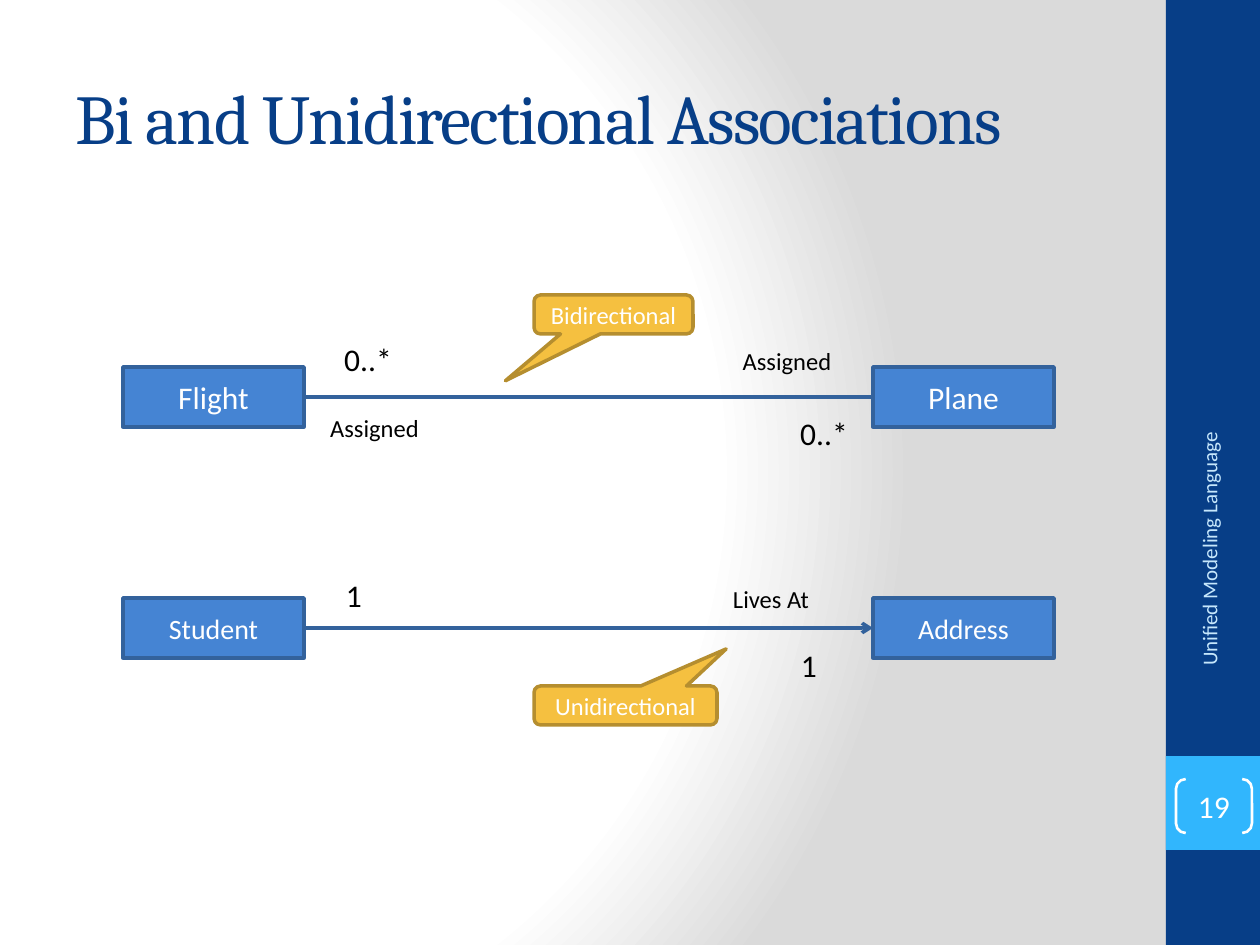
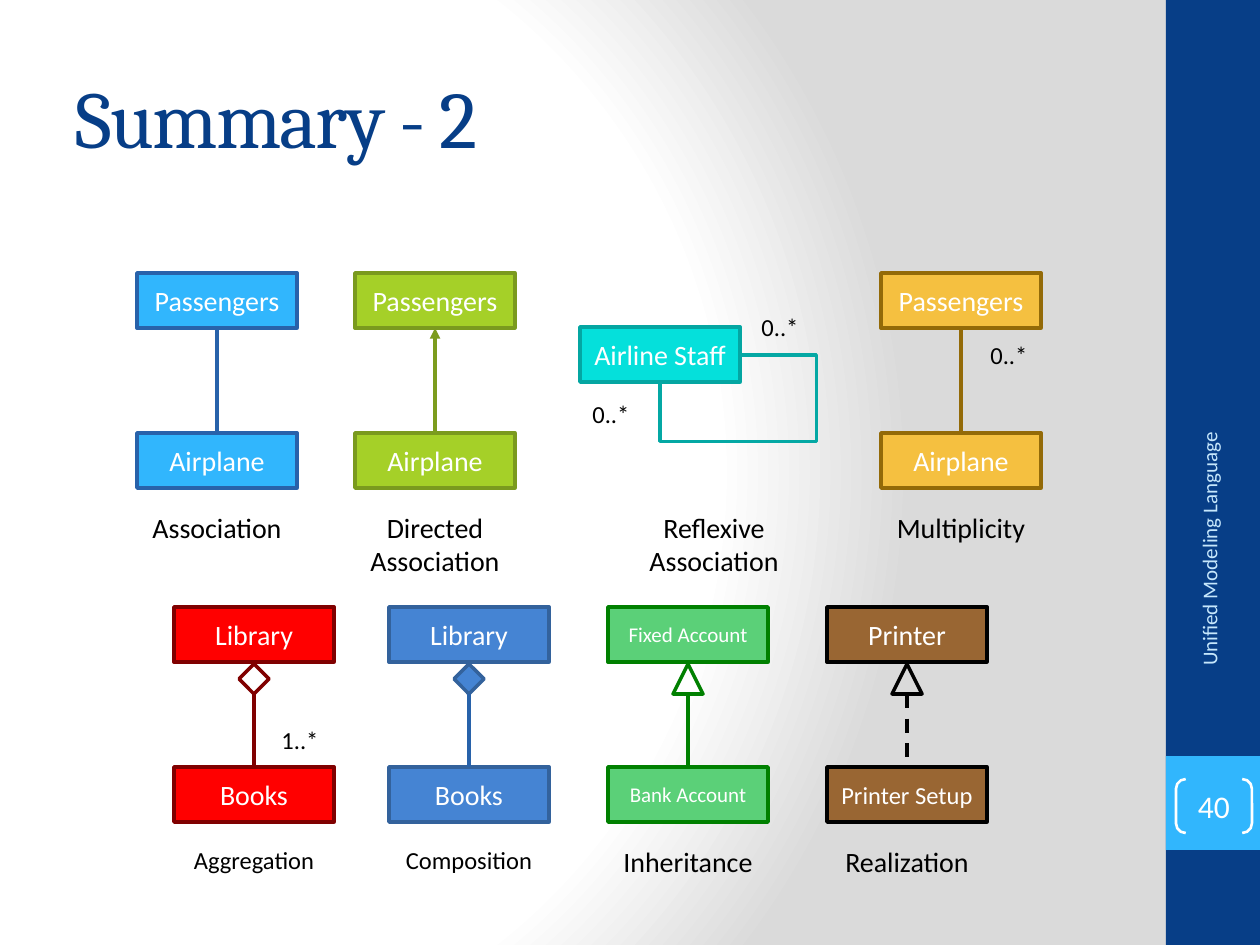
from pptx import Presentation
from pptx.dml.color import RGBColor
from pptx.enum.dml import MSO_LINE
from pptx.enum.shapes import MSO_CONNECTOR, MSO_SHAPE
from pptx.enum.text import MSO_ANCHOR, MSO_AUTO_SIZE, PP_ALIGN
from pptx.oxml import parse_xml
from pptx.oxml.ns import nsdecls, qn
from pptx.util import Pt

# Scale: 126 px to the inch
EMU_PER_PX = 914400 / 126
SLIDE_W, SLIDE_H = 1260, 945
BAND_X, BAND_W = 1166, 94

BODY_FONT, TITLE_FONT = "Calibri", "Cambria"

WHITE = RGBColor(0xFF, 0xFF, 0xFF)
BLACK = RGBColor(0x00, 0x00, 0x00)
NAVY = RGBColor(0x07, 0x3E, 0x87)
SKY = RGBColor(0x31, 0xB6, 0xFD)
PALE_SKY = RGBColor(0xC6, 0xE7, 0xFC)
BLUE = RGBColor(0x45, 0x84, 0xD3)
BLUE_EDGE = RGBColor(0x33, 0x62, 0x9C)
ROYAL = RGBColor(0x28, 0x62, 0xAA)
GOLD = RGBColor(0xF5, 0xC0, 0x40)
GOLD_EDGE = RGBColor(0xB5, 0x8E, 0x2F)
BRONZE = RGBColor(0x93, 0x6A, 0x08)
LIME = RGBColor(0xA5, 0xD0, 0x28)
LIME_EDGE = RGBColor(0x7A, 0x9A, 0x1E)
LIME_LINK = RGBColor(0x7C, 0x9C, 0x1E)
TURQUOISE = RGBColor(0x05, 0xE0, 0xDB)
TURQUOISE_EDGE = RGBColor(0x04, 0xA6, 0xA2)
TURQUOISE_LINK = RGBColor(0x04, 0xA8, 0xA4)
RED = RGBColor(0xFF, 0x00, 0x00)
MAROON = RGBColor(0x80, 0x00, 0x00)
GREEN = RGBColor(0x5B, 0xD0, 0x78)
DARK_GREEN = RGBColor(0x00, 0x80, 0x00)
BROWN = RGBColor(0x99, 0x66, 0x33)

TOP, LEFT, BOTTOM, RIGHT = range(4)

BACKDROP = f"""<a:gradFill {nsdecls('a')} rotWithShape="1"><a:gsLst>
<a:gs pos="0"><a:srgbClr val="FFFFFF"/></a:gs>
<a:gs pos="75000"><a:srgbClr val="FFFFFF"/></a:gs>
<a:gs pos="100000"><a:srgbClr val="DADADA"/></a:gs></a:gsLst>
<a:path path="circle"><a:fillToRect l="20000" t="50000" r="100000" b="50000"/></a:path>
</a:gradFill>"""


def px(*lengths):
    return [round(length * EMU_PER_PX) for length in lengths]


# Text and shapes
def write(shape, text, size, colour, align=PP_ALIGN.CENTER,
          anchor=MSO_ANCHOR.MIDDLE, font=BODY_FONT):
    frame = shape.text_frame
    frame.text = text
    paragraph = frame.paragraphs[0]
    run_font = paragraph.runs[0].font
    run_font.color.rgb = colour
    formats = (
        (frame, {"word_wrap": True, "auto_size": MSO_AUTO_SIZE.NONE,
                 "vertical_anchor": anchor}),
        (paragraph, {"alignment": align}),
        (run_font, {"name": font, "size": Pt(size)}),
    )
    for target, values in formats:
        for attribute, value in values.items():
            setattr(target, attribute, value)


def add_block(slide, kind, box, fill=None, edge=None, width=2):
    block = slide.shapes.add_shape(kind, *px(*box))
    block.shadow.inherit = False
    if fill is None:
        block.fill.background()
    else:
        block.fill.solid()
        block.fill.fore_color.rgb = fill
    if edge is None:
        block.line.fill.background()
    else:
        block.line.color.rgb = edge
        block.line.width = Pt(width)
    return block


def add_class(slide, box, name, size, fill, edge):
    uml_class = add_block(slide, MSO_SHAPE.RECTANGLE, box, fill, edge)
    write(uml_class, name, size, WHITE)
    return uml_class


def add_label(slide, box, text, size):
    label = slide.shapes.add_textbox(*px(*box))
    write(label, text, size, BLACK, anchor=MSO_ANCHOR.TOP)


def add_callout(slide, box, text, pointer):
    callout = add_block(slide, MSO_SHAPE.ROUNDED_RECTANGULAR_CALLOUT, box,
                        GOLD, GOLD_EDGE)
    callout.adjustments[0], callout.adjustments[1] = pointer
    write(callout, text, 14, WHITE)


# Connectors
def style_link(link, colour):
    link.line.color.rgb = colour
    link.line.width = Pt(2)
    link._element.spPr.append(parse_xml(f"<a:effectLst {nsdecls('a')}/>"))


def add_link(slide, begin, end, colour, head=None, dash=None):
    """Join two (shape, side) ends, with an arrowhead at the end if asked."""
    link = slide.shapes.add_connector(MSO_CONNECTOR.STRAIGHT, 0, 0, 0, 0)
    link.begin_connect(*begin)
    link.end_connect(*end)
    style_link(link, colour)
    if dash:
        link.line.dash_style = dash
    if head:
        link.line._get_or_add_ln().append(
            parse_xml(f'<a:tailEnd {nsdecls("a")} type="{head}"/>'))
    return link


def add_loop(slide, start, finish, colour, bends):
    """Four-part elbow from a box's bottom to its right side."""
    span_x, span_y = finish[0] - start[0], start[1] - finish[1]
    centre_x, centre_y = start[0] + span_x / 2, start[1] - span_y / 2
    # Turned a quarter, so width and height change places
    loop = slide.shapes.add_connector(
        MSO_CONNECTOR.ELBOW,
        *px(centre_x + span_y / 2, centre_y + span_x / 2,
            centre_x - span_y / 2, centre_y - span_x / 2))
    properties = loop._element.spPr
    properties.find(qn("a:xfrm")).set("rot", "5400000")
    geometry = properties.find(qn("a:prstGeom"))
    geometry.set("prst", "bentConnector4")
    guides = geometry.find(qn("a:avLst"))
    for number, bend in enumerate(bends, 1):
        guides.append(parse_xml(
            f'<a:gd {nsdecls("a")} name="adj{number}" fmla="val {bend}"/>'))
    style_link(loop, colour)


# What the slides share
def set_backdrop(deck):
    master = deck.slide_master
    master.background.fill.solid()
    properties = master.element.find(".//" + qn("p:bgPr"))
    properties.replace(properties[0], parse_xml(BACKDROP))


def add_page(deck, title, title_size, number):
    slide = deck.slides.add_slide(deck.slide_layouts[5])
    heading = slide.shapes.title
    heading.left, heading.top, heading.width, heading.height = px(63, 38, 1050, 157)
    write(heading, title, title_size, NAVY, PP_ALIGN.LEFT, font=TITLE_FONT)
    heading.text_frame.paragraphs[0].runs[0].font._element.set("spc", "-100")

    add_block(slide, MSO_SHAPE.RECTANGLE, (BAND_X, 0, BAND_W, SLIDE_H), NAVY)
    add_block(slide, MSO_SHAPE.RECTANGLE, (BAND_X, 756, BAND_W, 94), SKY)

    footer = slide.shapes.add_textbox(*px(1046, 558, 326, 50))
    footer.rotation = 270
    write(footer, "Unified Modeling Language", 12, PALE_SKY, PP_ALIGN.RIGHT)

    page_number = add_block(slide, MSO_SHAPE.DOUBLE_BRACKET, (1176, 779, 76, 54),
                            edge=WHITE, width=1.5)
    page_number.adjustments[0] = 0.18
    write(page_number, number, 18, WHITE)
    for side in ("left", "top", "right", "bottom"):
        setattr(page_number.text_frame, f"margin_{side}", 0)
    return slide


def build_associations(deck):
    slide = add_page(deck, "Bi and Unidirectional Associations", 40, "19")

    # Class pairs
    for y, source, target, size, head in (
            (367, "Flight", "Plane", 18, None),
            (598, "Student", "Address", 16, "arrow")):
        source_class, target_class = (
            add_class(slide, (x, y, 181, 60), name, size, BLUE, BLUE_EDGE)
            for x, name in ((123, source), (873, target)))
        add_link(slide, (source_class, RIGHT), (target_class, LEFT), BLUE_EDGE, head)

    # Multiplicities and roles
    for x, y, count in ((330, 334, "0..*"), (786, 408, "0..*"),
                        (316, 570, "1"), (771, 640, "1")):
        add_label(slide, (x, y, 76, 50), count, 18)
    for x, y, width, role in ((316, 407, 117, "Assigned"), (726, 340, 122, "Assigned"),
                              (699, 578, 144, "Lives At")):
        add_label(slide, (x, y, width, 43), role, 14)

    add_callout(slide, (534, 295, 159, 39), "Bidirectional", (-0.68, 1.7))
    add_callout(slide, (534, 686, 183, 39), "Unidirectional", (0.55, -1.45))


def build_summary(deck):
    slide = add_page(deck, "Summary - 2", 46, "40")
    class_w, class_h, symbol = 160, 55, 30

    def add_pair(x, y, upper, lower, sizes, fill, edge):
        return [add_class(slide, (x, top, class_w, class_h), name, size, fill, edge)
                for top, name, size in zip((y, y + 160), (upper, lower), sizes)]

    # Upper row: plain links
    for x, fill, edge, link_colour, head in (
            (137, SKY, ROYAL, ROYAL, None),
            (355, LIME, LIME_EDGE, LIME_LINK, "triangle"),
            (881, GOLD, BRONZE, BRONZE, None)):
        passengers, airplane = add_pair(x, 273, "Passengers", "Airplane",
                                        (16, 16), fill, edge)
        add_link(slide, (airplane, TOP), (passengers, BOTTOM), link_colour, head)

    # Reflexive association
    add_class(slide, (580, 327, class_w, class_h), "Airline Staff", 16,
              TURQUOISE, TURQUOISE_EDGE)
    add_loop(slide, (660, 382), (740, 355), TURQUOISE_LINK, (-220300, 195300))

    # Lower row: links that start at a symbol
    diamond, triangle = MSO_SHAPE.DIAMOND, MSO_SHAPE.ISOSCELES_TRIANGLE
    for x, upper, lower, sizes, fill, edge, kind, inside, link_colour, dash in (
            (174, "Library", "Books", (16, 16), RED, MAROON,
             diamond, WHITE, MAROON, None),
            (389, "Library", "Books", (16, 16), BLUE, BLUE_EDGE,
             diamond, BLUE, ROYAL, None),
            (608, "Fixed Account", "Bank Account", (12, 12), GREEN, DARK_GREEN,
             triangle, WHITE, DARK_GREEN, None),
            (827, "Printer", "Printer Setup", (16, 14), BROWN, BLACK,
             triangle, None, BLACK, MSO_LINE.DASH)):
        _, lower_class = add_pair(x, 607, upper, lower, sizes, fill, edge)
        end_symbol = add_block(
            slide, kind, (x + (class_w - symbol) / 2, 664, symbol, symbol), inside, edge)
        link = add_link(slide, (end_symbol, BOTTOM), (lower_class, TOP),
                        link_colour, dash=dash)
        if kind == triangle:
            # A triangle counts the middle of its base as site 3
            link._element.find(".//" + qn("a:stCxn")).set("idx", "3")

    # Captions
    for x, y, height, size, caption in (
            (137, 504, 47, 16, "Association"),
            (355, 504, 81, 16, "Directed Association"),
            (634, 504, 81, 16, "Reflexive Association"),
            (881, 504, 47, 16, "Multiplicity"),
            (174, 839, 43, 14, "Aggregation"),
            (389, 839, 43, 14, "Composition"),
            (608, 838, 47, 16, "Inheritance"),
            (827, 838, 47, 16, "Realization")):
        add_label(slide, (x, y, class_w, height), caption, size)

    # Multiplicities
    for x, y, count in ((268, 719, "1..*"), (977, 334, "0..*"),
                        (579, 393, "0..*"), (748, 306, "0..*")):
        add_label(slide, (x, y, 64, 43), count, 14)


def main():
    deck = Presentation()
    deck.slide_width, deck.slide_height = px(SLIDE_W, SLIDE_H)
    set_backdrop(deck)
    build_associations(deck)
    build_summary(deck)
    deck.save("out.pptx")


if __name__ == "__main__":
    main()
